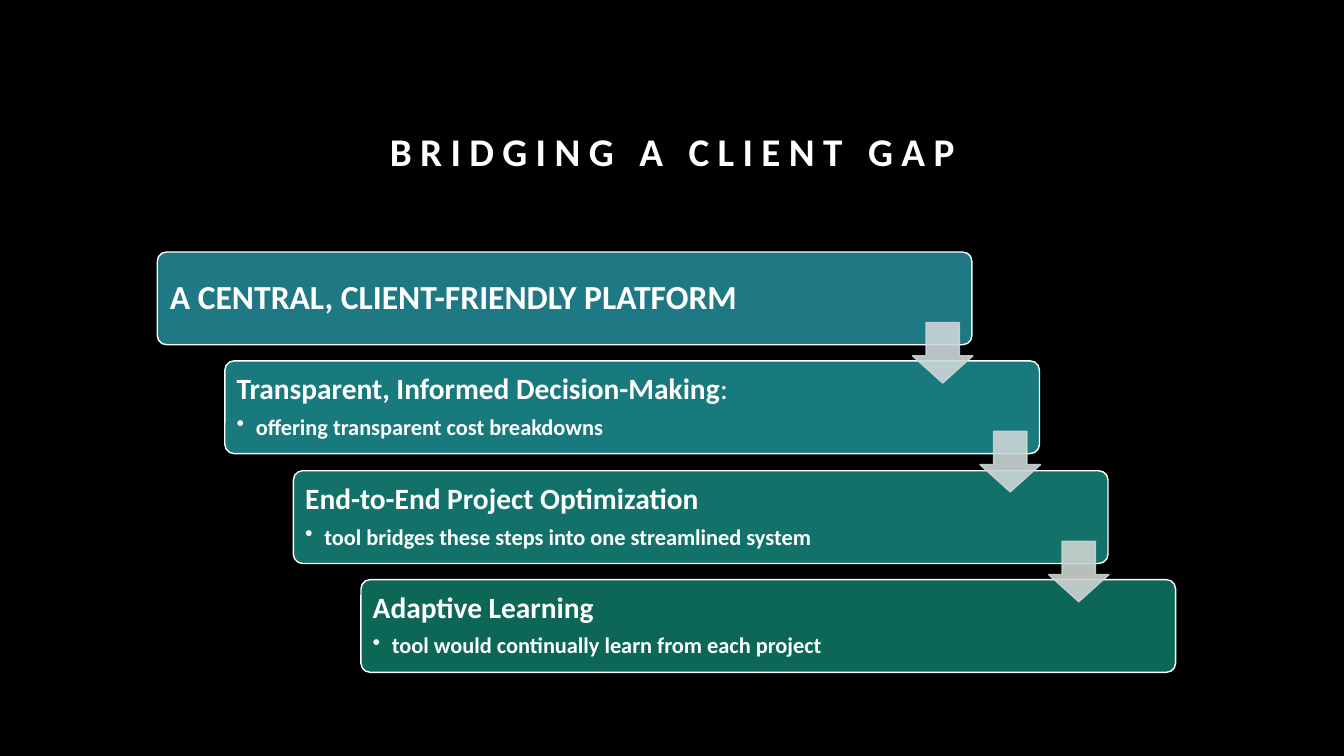
from pptx import Presentation
from pptx.dml.color import RGBColor
from pptx.enum.shapes import MSO_SHAPE as Shape
from pptx.enum.text import MSO_ANCHOR as Anchor, PP_ALIGN as Align
from pptx.oxml.ns import qn
from pptx.util import Pt
from lxml.etree import SubElement

EMU_PER_PX = 9144
WHITE = "FFFFFF"
STEPS = [
    ("1F7985", [("A CENTRAL, CLIENT-FRIENDLY PLATFORM", True)], None),
    ("187A7C", [("Transparent, Informed Decision-Making", True), (":", False)],
     "offering transparent cost breakdowns"),
    ("12726A", [("End-to-End Project Optimization", True)],
     "tool bridges these steps into one streamlined system"),
    ("0D6756", [("Adaptive Learning", True)],
     "tool would continually learn from each project"),
]
ARROW_COLORS = ["CDD7D9", "CCD6D6", "CCD3D1"]


def px(length):
    """Turn whole pixels into EMU."""
    return length * EMU_PER_PX


def rgb(color):
    """Turn a hex string into a colour."""
    return RGBColor.from_string(color)


def add_span(para, text, size, bold=True, color=WHITE, font="Calibri", spacing=None):
    """Add a formatted run to a paragraph."""
    span = para.add_run()
    span.text = text
    span.font.name = font
    span.font.size = Pt(size)
    span.font.bold = bold
    span.font.color.rgb = rgb(color)
    if spacing:
        span.font._element.set("spc", str(spacing * 100))


class StepSlide:
    """Holds the style and the current slide."""

    def __init__(self, deck, background):
        """Add a blank page with a plain background."""
        self.page = deck.slides.add_slide(deck.slide_layouts[6])
        fill = self.page.background.fill
        fill.solid()
        fill.fore_color.rgb = rgb(background)

    def title(self, text, left, top, width, height):
        """Add the spaced, centred heading."""
        box = self.page.shapes.add_textbox(px(left), px(top), px(width), px(height))
        frame = box.text_frame
        frame.word_wrap = True
        frame.vertical_anchor = Anchor.BOTTOM
        para = frame.paragraphs[0]
        para.alignment = Align.CENTER
        para.line_spacing = 1.2
        add_span(para, text, 28, spacing=6)

    def shape(self, kind, left, top, width, height, adjustments, fill, line, opacity=100):
        """Add a filled and outlined preset shape."""
        shape = self.page.shapes.add_shape(kind, px(left), px(top), px(width), px(height))
        shape.shadow.inherit = False
        for index, value in enumerate(adjustments):
            shape.adjustments[index] = value
        shape.fill.solid()
        shape.fill.fore_color.rgb = rgb(fill)
        shape.line.color.rgb = rgb(line)
        shape.line.width = Pt(1)
        if opacity < 100:
            for color in shape._element.spPr.iter(qn("a:srgbClr")):
                SubElement(color, qn("a:alpha"), val=str(opacity * 1000))
        return shape

    def step(self, left, top, fill, heading, detail):
        """Add a rounded bar with a heading and an optional bullet."""
        bar = self.shape(Shape.ROUNDED_RECTANGLE, left, top, 808, 92, [0.1], fill, WHITE)
        frame = bar.text_frame
        frame.word_wrap = True
        frame.vertical_anchor = Anchor.MIDDLE
        inset = px(9 if detail else 10)
        frame.margin_left = frame.margin_right = inset
        frame.margin_top = frame.margin_bottom = inset
        para = frame.paragraphs[0]
        para.alignment = Align.LEFT
        para.line_spacing = 0.9
        for text, bold in heading:
            add_span(para, text, 21 if detail else 24, bold)
        if detail:
            para.space_after = Pt(7)
            self.bullet(frame, detail)

    def bullet(self, frame, text):
        """Add a bulleted paragraph to a frame."""
        para = frame.add_paragraph()
        para.level = 1
        para.alignment = Align.LEFT
        para.line_spacing = 0.9
        para.space_after = Pt(2)
        properties = para._p.get_or_add_pPr()
        properties.set("marL", str(px(19)))
        properties.set("indent", str(px(-19)))
        SubElement(properties, qn("a:buChar"), char="•")
        add_span(para, text, 16)

    def arrow(self, left, top, color):
        """Add a translucent down arrow."""
        self.shape(Shape.DOWN_ARROW, left, top, 60, 60, [0.55, 0.45], color, color, 90)


def main():
    """Build the deck."""
    deck = Presentation()
    deck.slide_width, deck.slide_height = px(1333), px(750)
    slide = StepSlide(deck, "000000")
    slide.title("BRIDGING A CLIENT GAP", 167, 83, 1000, 95)
    corners = [(156 + round(67.4 * row), 250 + round(108.33 * row))
               for row in range(len(STEPS))]
    for (left, top), (fill, heading, detail) in zip(corners, STEPS):
        slide.step(left, top, fill, heading, detail)
    for (left, top), color in zip(corners, ARROW_COLORS):
        slide.arrow(left + 749, top + 70, color)
    deck.save("out.pptx")


if __name__ == "__main__":
    main()
